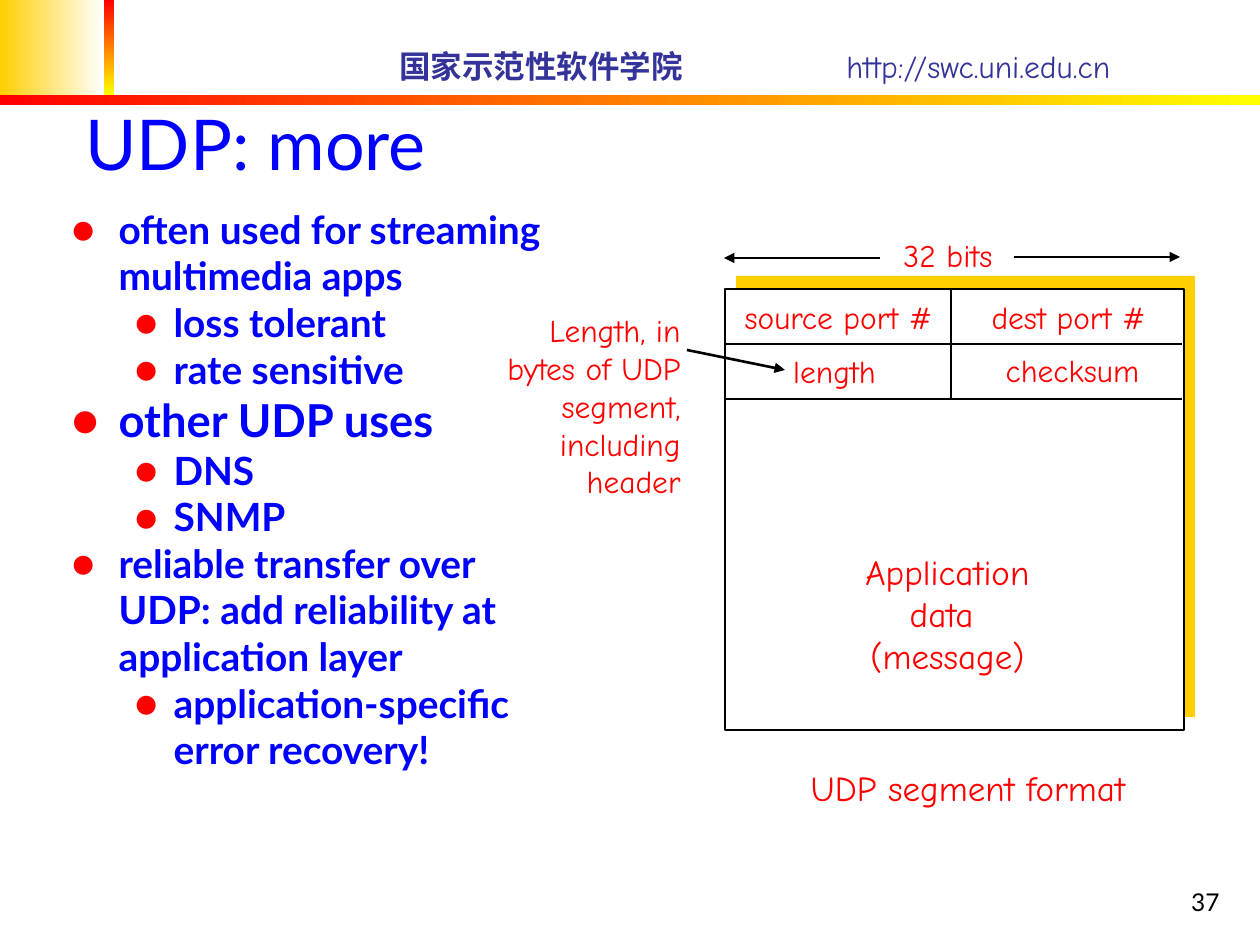
from lxml.etree import SubElement
from pptx import Presentation
from pptx.dml.color import RGBColor
from pptx.enum.shapes import MSO_CONNECTOR as CONNECTOR, MSO_SHAPE as SHAPE
from pptx.enum.text import MSO_ANCHOR as ANCHOR, MSO_AUTO_SIZE as AUTO, PP_ALIGN as ALIGN
from pptx.oxml.ns import qn
from pptx.util import Pt

PX = 914400 // 126
COLORS = {"gold": "FFCF01", "white": "FFFFFF", "red": "FF0000", "yellow": "FFFF00",
          "navy": "333399", "blue": "0000FF", "black": "000000"}
LATO, COMIC = "Lato", "Comic Neue"

TITLE = "UDP: more"
POINTS = [
    (0, "often used for streaming multimedia apps", 22.2),
    (1, "loss tolerant", 22.2),
    (1, "rate sensitive", 22.2),
    (0, "other UDP uses", 25.9),
    (1, "DNS", 22.2),
    (1, "SNMP", 22.2),
    (0, "reliable transfer over UDP: add reliability at application layer", 22.2),
    (1, "application-specific error recovery!", 22.2),
]
INDENTS = [(47, -47), (102, -39)]
GRADIENT_BANDS = [
    ((0, 0, 104, 95), "gold", "white", 0),
    ((104, 0, 10, 95), "red", "yellow", 270),
    ((0, 95, 1260, 10), "red", "yellow", 0),
]
HEADER = [
    ((387, 41, 320, 50), "国家示范性软件学院", True),
    ((834, 41, 380, 50), "http://swc.uni.edu.cn", False),
]
LABELS = [
    ((722, 292, 233, 50), "source port #", 18, ALIGN.CENTER),
    ((969, 292, 199, 50), "dest port #", 18, ALIGN.CENTER),
    ((769, 346, 131, 50), "length", 18, ALIGN.CENTER),
    ((983, 345, 179, 50), "checksum", 18, ALIGN.CENTER),
    ((882, 230, 132, 50), "32 bits", 18, ALIGN.CENTER),
    ((843, 544, 209, 139), "Application\ndata \n(message)", 20, ALIGN.CENTER),
    ((788, 760, 360, 55), "UDP segment format", 20, ALIGN.CENTER),
    ((473, 305, 220, 202), "Length, in\nbytes of UDP\nsegment,\nincluding\nheader", 18, ALIGN.RIGHT),
]
LEFT, TOP, WIDTH, HEIGHT = SEGMENT = (725, 289, 459, 441)
SHADOW = (LEFT + 11, TOP - 13, WIDTH, HEIGHT)
ROW, MIDDLE = 55, 951
RULES = [(LEFT, TOP + ROW * n, LEFT + WIDTH - 2, TOP + ROW * n) for n in (1, 2)]
RULES.append((MIDDLE, TOP, MIDDLE, TOP + 2 * ROW))
ARROWS = [(1014, 257, 1180, 257), (880, 258, 724, 258), (687, 350, 785, 370)]


def color(name):
    return RGBColor.from_string(COLORS[name])


def scaled(lengths):
    return [n * PX for n in lengths]


def format_text(frame, size, font, ink, align=ALIGN.LEFT, bold=False):
    for paragraph in frame.paragraphs:
        paragraph.alignment = align
        for run in paragraph.runs:
            run.font.size, run.font.name, run.font.bold = Pt(size), font, bold
            run.font.color.rgb = color(ink)
            SubElement(run.font._element, qn("a:ea")).set("typeface", font)


def add_label(box, text, size, align, font=COMIC, ink="red", bold=False, anchor=ANCHOR.TOP):
    frame = slide.shapes.add_textbox(*scaled(box)).text_frame
    frame.text, frame.word_wrap, frame.vertical_anchor = text, False, anchor
    format_text(frame, size, font, ink, align, bold)


def add_rect(box):
    rect = slide.shapes.add_shape(SHAPE.RECTANGLE, *scaled(box))
    rect.shadow.inherit = False
    rect.line.fill.background()
    return rect


def add_line(ends, arrow=False):
    line = slide.shapes.add_connector(CONNECTOR.STRAIGHT, *scaled(ends))
    line.line.color.rgb, line.line.width = color("black"), Pt(1.5)
    if arrow:
        SubElement(line.line._get_or_add_ln(), qn("a:tailEnd")).set("type", "triangle")
    SubElement(line._element.spPr, qn("a:effectLst"))


def add_bullet(paragraph, level):
    props = paragraph._p.get_or_add_pPr()
    margin, indent = scaled(INDENTS[level])
    props.set("marL", str(margin))
    props.set("indent", str(indent))
    SubElement(SubElement(props, qn("a:buClr")), qn("a:srgbClr")).set("val", COLORS["red"])
    SubElement(props, qn("a:buFont")).set("typeface", LATO)
    SubElement(props, qn("a:buChar")).set("char", "●")


def place(holder, box, anchor):
    holder.left, holder.top, holder.width, holder.height = scaled(box)
    frame = holder.text_frame
    frame.auto_size, frame.word_wrap, frame.vertical_anchor = AUTO.NONE, True, anchor
    return frame


deck = Presentation()
deck.slide_width, deck.slide_height = scaled((1260, 945))
slide = deck.slides.add_slide(deck.slide_layouts[1])

title = place(slide.shapes.title, (73, 34, 1149, 157), ANCHOR.BOTTOM)
title.text = TITLE
format_text(title, 40, LATO, "blue")

body = place(slide.placeholders[1], (59, 199, 525, 640), ANCHOR.TOP)
body.text = "\n".join(text for _, text, _ in POINTS)
format_text(body, 22.2, LATO, "blue", bold=True)
for paragraph, (level, _, size) in zip(body.paragraphs, POINTS):
    paragraph.level, paragraph.space_before = level, Pt(0)
    paragraph.runs[0].font.size = Pt(size)
    add_bullet(paragraph, level)

for box, start, end, angle in GRADIENT_BANDS:
    fill = add_rect(box).fill
    fill.gradient()
    fill.gradient_angle = angle
    for stop, name in zip(fill.gradient_stops, (start, end)):
        stop.color.rgb = color(name)

for box, text, bold in HEADER:
    add_label(box, text, 18, ALIGN.LEFT, ink="navy", bold=bold, anchor=ANCHOR.MIDDLE)

for box, name in ((SHADOW, "gold"), (SEGMENT, "white")):
    segment = add_rect(box)
    segment.fill.solid()
    segment.fill.fore_color.rgb = color(name)
segment.line.color.rgb, segment.line.width = color("black"), Pt(1.5)

for ends in RULES:
    add_line(ends)
for ends in ARROWS:
    add_line(ends, arrow=True)
for label in LABELS:
    add_label(*label)
add_label((970, 860, 262, 63), "37", 14, ALIGN.RIGHT, LATO, "black", anchor=ANCHOR.BOTTOM)

deck.save("out.pptx")
